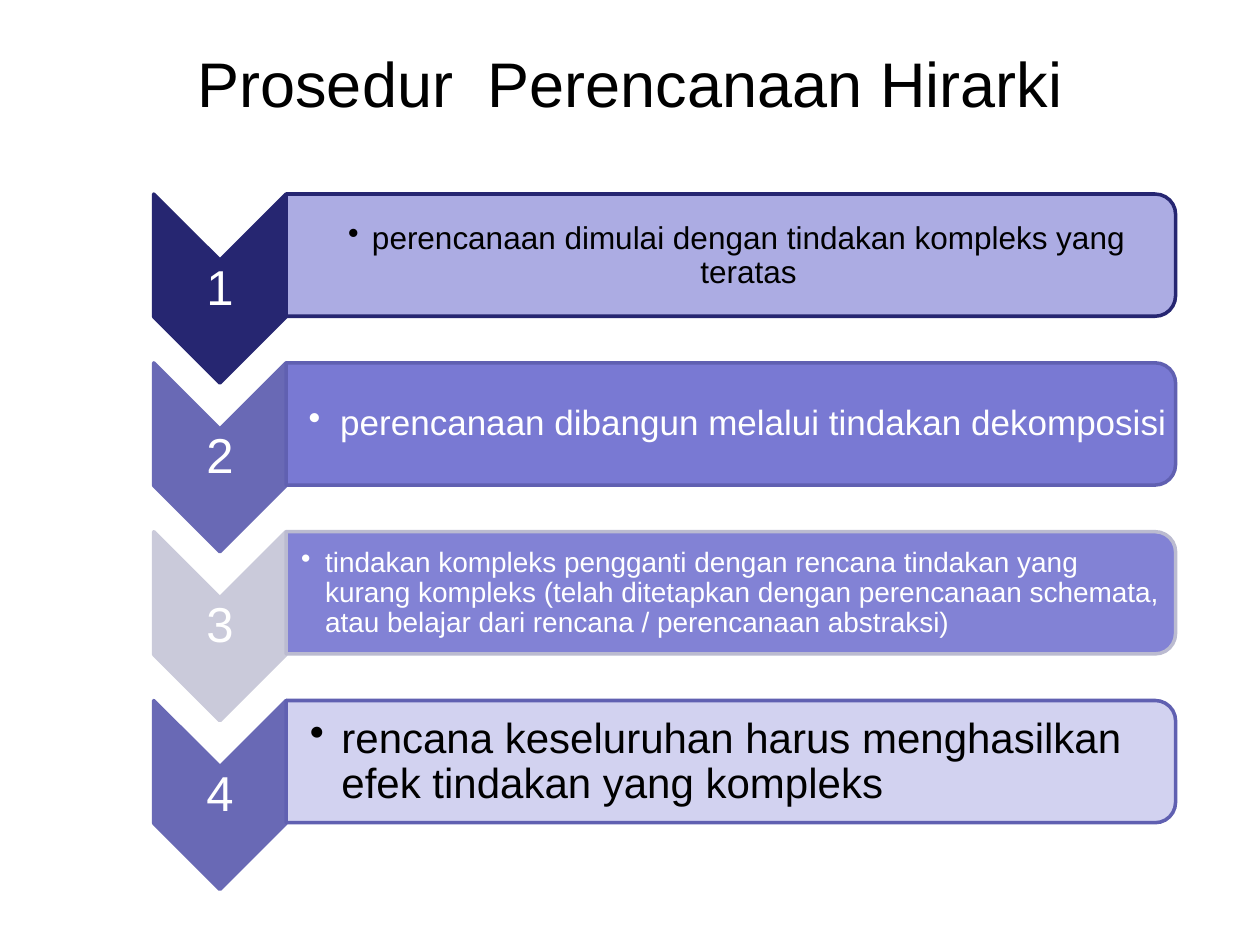
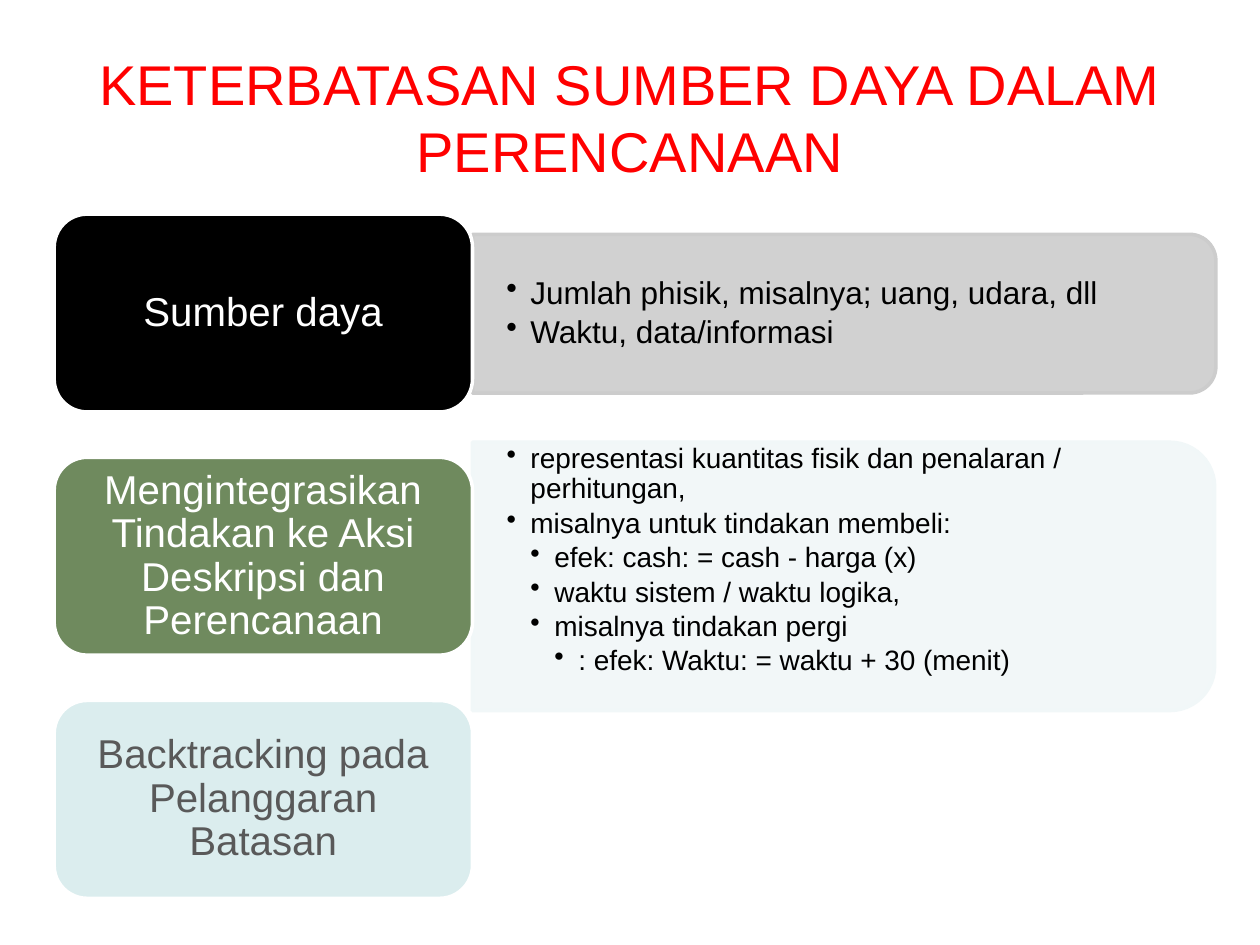
"""Build two slides on hierarchical planning and its resource limits."""
from lxml import etree
from pptx import Presentation
from pptx.dml.color import RGBColor
from pptx.enum import shapes, text
from pptx.oxml.ns import qn
from pptx.util import Inches, Pt

FONT = "Arial"
COLORS = {
    "black": "000000", "white": "FFFFFF", "red": "FF0000", "gray_text": "595959",
    "navy": "262671", "violet": "6969B5", "violet_line": "6060B1",
    "silver": "CACADA", "silver_line": "BBBBD0",
    "lavender": "A3A3E0", "iris": "6B6BCF", "periwinkle": "7575D1", "mist": "CECEEF",
    "gray": "CCCCCC", "green": "6F8A5E", "ice": "F1F7F8", "aqua": "DBEDEE",
}
CENTER = text.PP_ALIGN.CENTER
LEFT = text.PP_ALIGN.LEFT
MIDDLE = text.MSO_ANCHOR.MIDDLE
TOP = text.MSO_ANCHOR.TOP

STEPS_TITLE = "Prosedur  Perencanaan Hirarki"
STEPS = [
    dict(text="perencanaan dimulai dengan tindakan kompleks yang teratas",
         chevron="navy", panel="lavender", line="navy", color="black",
         size=18, align=CENTER, indent=0.19, inset=0.14),
    dict(text="perencanaan dibangun melalui tindakan dekomposisi",
         chevron="violet", panel="iris", line="violet_line", color="white",
         size=20, align=CENTER, indent=0.25, inset=0.16),
    dict(text="tindakan kompleks pengganti dengan rencana tindakan yang kurang kompleks "
              "(telah ditetapkan dengan perencanaan schemata, atau belajar dari rencana "
              "/ perencanaan abstraksi)",
         chevron="silver", panel="periwinkle", line="silver_line", color="white",
         size=16, align=LEFT, indent=0.19, inset=0.12),
    dict(text="rencana keseluruhan harus menghasilkan efek tindakan yang kompleks",
         chevron="violet", panel="mist", line="violet_line", color="black",
         size=24, align=LEFT, indent=0.25, inset=0.19),
]

LIMITS_TITLE = "KETERBATASAN SUMBER DAYA DALAM PERENCANAAN"
LIMITS = [
    dict(label="Sumber daya", fill="black", color="white", panel="gray",
         panel_box=(3.75, 1.86, 5.9, 1.26), text_box=(3.75, 1.92, 5.84, 1.14), size=18,
         points=[(1, "Jumlah phisik, misalnya; uang, udara, dll"),
                 (1, "Waktu, data/informasi")]),
    dict(label="Mengintegrasikan Tindakan ke Aksi Deskripsi dan Perencanaan",
         fill="green", color="white", panel="ice",
         panel_box=(3.75, 3.51, 5.89, 2.13), text_box=(3.75, 3.49, 5.79, 1.92), size=16,
         points=[(1, "representasi kuantitas fisik dan penalaran / perhitungan,"),
                 (1, "misalnya untuk tindakan membeli:"),
                 (2, "efek: cash: = cash - harga (x)"),
                 (2, "waktu sistem / waktu logika,"),
                 (2, "misalnya tindakan pergi"),
                 (3, ": efek: Waktu: = waktu + 30 (menit)")]),
    dict(label="Backtracking pada Pelanggaran Batasan", fill="aqua", color="gray_text",
         panel=None, points=[]),
]


def rgb(name):
    return RGBColor.from_string(COLORS[name])


def write(shape, lines, size, color, align=CENTER, anchor=MIDDLE, insets=None,
          spacing=0.9, after=0, indent=0):
    """Fill a shape with (level, text) lines; level 0 has no bullet."""
    frame = shape.text_frame
    frame.word_wrap = True
    frame.auto_size = text.MSO_AUTO_SIZE.NONE
    frame.vertical_anchor = anchor
    if insets:
        (frame.margin_left, frame.margin_top,
         frame.margin_right, frame.margin_bottom) = map(Inches, insets)
    for number, (level, line) in enumerate(lines):
        paragraph = frame.add_paragraph() if number else frame.paragraphs[0]
        paragraph.alignment = align
        paragraph.line_spacing = spacing
        paragraph.space_after = Pt(size * after)
        if level:
            paragraph.level = level
            properties = paragraph._p.get_or_add_pPr()
            properties.set("marL", str(Inches(indent * level)))
            properties.set("indent", str(-Inches(indent)))
            etree.SubElement(properties, qn("a:buChar")).set("char", "•")
        run = paragraph.add_run()
        run.text = line
        run.font.name = FONT
        run.font.size = Pt(size)
        run.font.color.rgb = rgb(color)


def add_shape(slide, kind, box, fill, line, turned=False, alpha=None):
    """Add a preset shape that covers box, turned a quarter if asked."""
    left, top, width, height = box
    if turned:
        left, top = left + (width - height) / 2, top + (height - width) / 2
        width, height = height, width
    shape = slide.shapes.add_shape(kind, *map(Inches, (left, top, width, height)))
    shape.rotation = 90 if turned else 0
    shape.shadow.inherit = False
    shape.fill.solid()
    shape.fill.fore_color.rgb = rgb(fill)
    shape.line.color.rgb = rgb(line)
    shape.line.width = Pt(2)
    if alpha:
        color = shape._element.spPr.find(qn("a:solidFill"))[0]
        etree.SubElement(color, qn("a:alpha")).set("val", str(alpha * 1000))
    return shape


def add_panel(slide, box, fill, line):
    add_shape(slide, shapes.MSO_SHAPE.ROUND_2_SAME_RECTANGLE, box, fill, line,
              turned=True, alpha=90)


def add_text(slide, box, lines, **style):
    write(slide.shapes.add_textbox(*map(Inches, box)), lines, **style)


def add_slide(presentation, title, **style):
    slide = presentation.slides.add_slide(presentation.slide_layouts[5])
    shape = slide.shapes.title
    shape.left, shape.top, shape.width, shape.height = map(Inches, (0.5, 0.3, 9, 1.25))
    write(shape, [(0, title)], spacing=1.0, **style)
    return slide


def build_steps(presentation):
    slide = add_slide(presentation, STEPS_TITLE, size=36, color="black", anchor=TOP)
    for row, step in enumerate(STEPS):
        top = 1.54 + row * 1.34
        add_shape(slide, shapes.MSO_SHAPE.CHEVRON, (1.22, top, 1.05, 1.5),
                  step["chevron"], step["chevron"], turned=True)
        add_text(slide, (1.22, top + 0.53, 1.05, 0.45), [(0, str(row + 1))],
                 size=28, color="white", insets=[0.02] * 4)
        add_panel(slide, (2.27, top, 7.06, 0.97), step["panel"], step["line"])
        add_text(slide, (2.27, top + 0.05, 7.02, 0.88), [(1, step["text"])],
                 size=step["size"], color=step["color"], align=step["align"],
                 insets=(step["inset"], 0.01, 0.01, 0.01), after=0.15,
                 indent=step["indent"])


def build_limits(presentation):
    slide = add_slide(presentation, LIMITS_TITLE, size=32, color="red")
    for row, limit in enumerate(LIMITS):
        if limit["panel"]:
            add_panel(slide, limit["panel_box"], limit["panel"], limit["panel"])
            add_text(slide, limit["text_box"], limit["points"], size=limit["size"],
                     color="black", align=LEFT, insets=(0.27, 0.14, 0.27, 0.14),
                     after=0.15, indent=0.19)
        label = add_shape(slide, shapes.MSO_SHAPE.ROUNDED_RECTANGLE,
                          (0.43, 1.7 + row * 1.93, 3.32, 1.57), limit["fill"], "white")
        write(label, [(0, limit["label"])], size=23, color=limit["color"],
              insets=(0.1, 0.05, 0.1, 0.05))


def main():
    presentation = Presentation()
    presentation.slide_width, presentation.slide_height = Inches(10), Inches(7.5)
    build_steps(presentation)
    build_limits(presentation)
    presentation.save("out.pptx")


if __name__ == "__main__":
    main()
